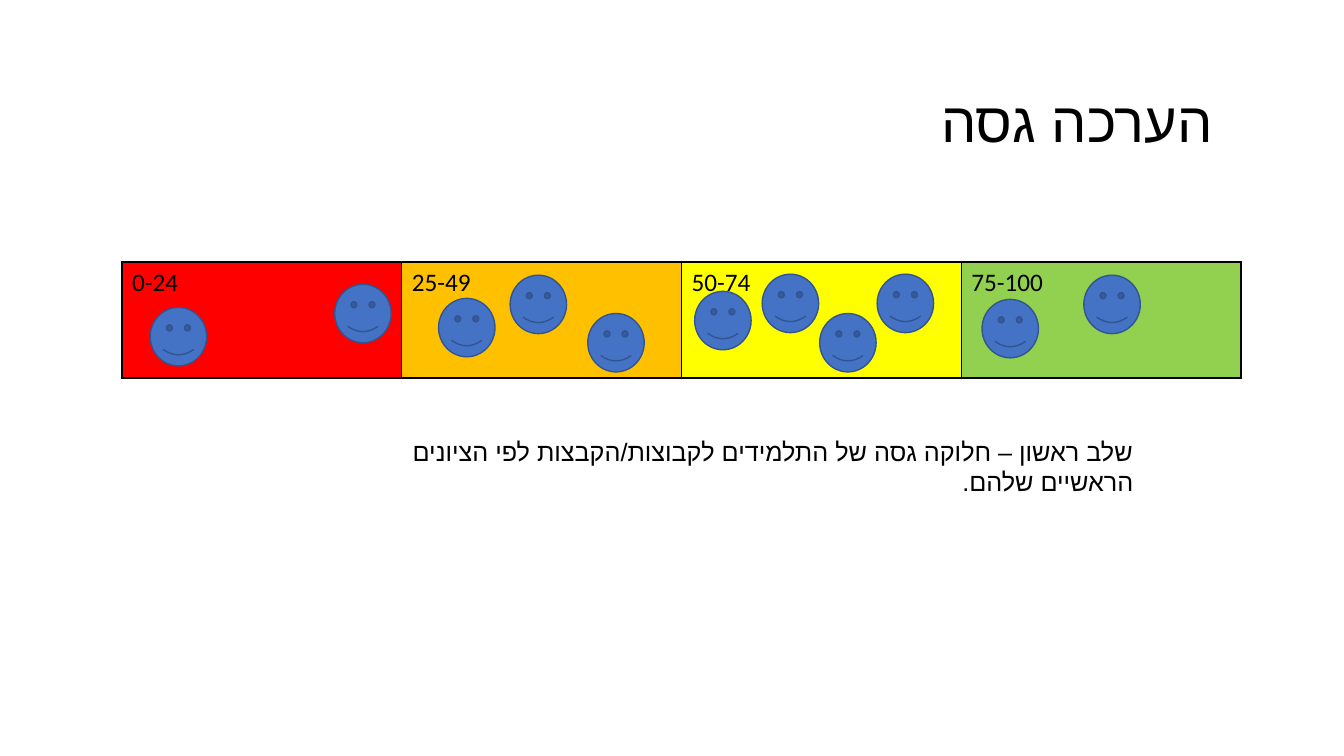
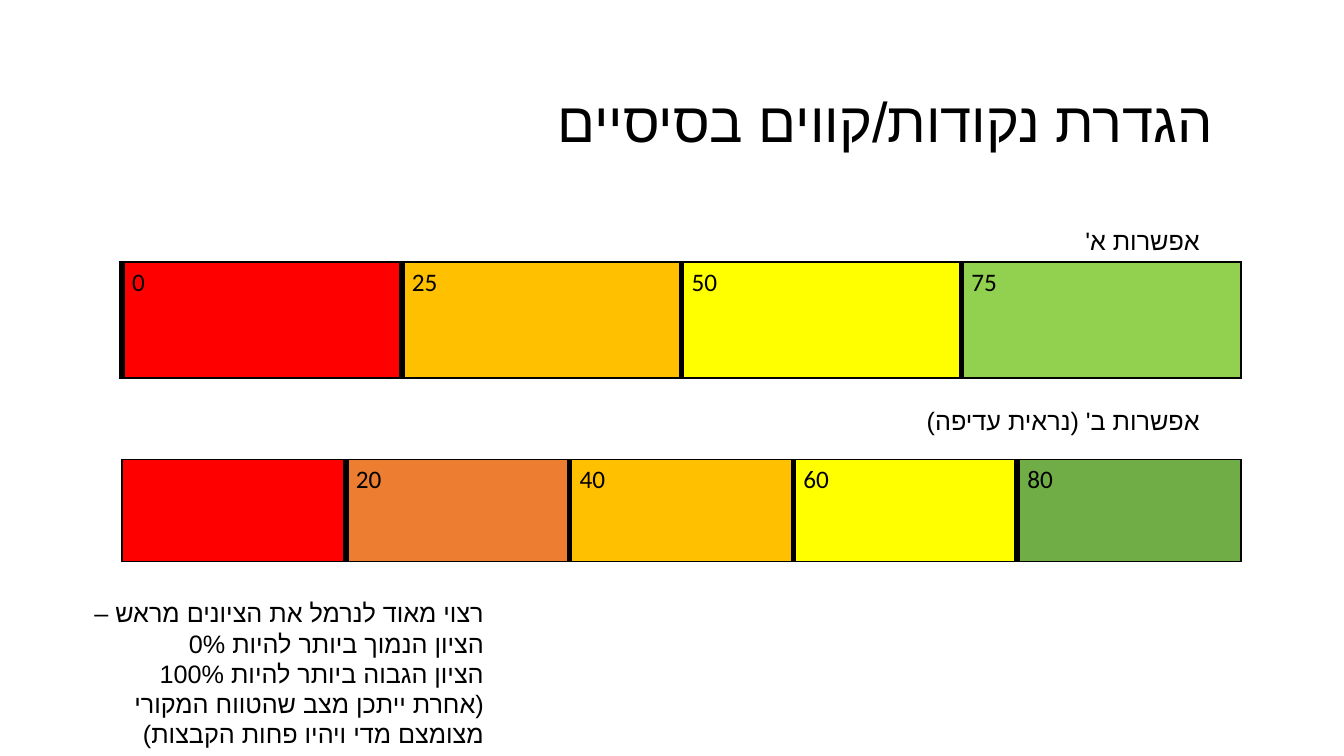
from lxml import etree
from pptx import Presentation
from pptx.dml.color import RGBColor
from pptx.enum.shapes import MSO_SHAPE
from pptx.enum.text import MSO_ANCHOR, MSO_AUTO_SIZE, PP_ALIGN
from pptx.oxml.ns import qn
from pptx.util import Inches, Pt

SMILEY = MSO_SHAPE.SMILEY_FACE
RIGHT = PP_ALIGN.RIGHT
TOP, MIDDLE = MSO_ANCHOR.TOP, MSO_ANCHOR.MIDDLE
NO_AUTOFIT = MSO_AUTO_SIZE.NONE
TITLE_ONLY = 5

FONT, HEBREW_FONT = "Calibri", "Arial"
BLACK = "000000"
RED, DARK_ORANGE, ORANGE = "FF0000", "ED7D31", "FFC000"
YELLOW, GREEN, DARK_GREEN = "FFFF00", "92D050", "70AD47"
FACE_BLUE, FACE_LINE = "4472C4", "325491"
FOUR_BANDS = [RED, ORANGE, YELLOW, GREEN]
FIVE_BANDS = [RED, DARK_ORANGE, ORANGE, YELLOW, DARK_GREEN]

SCALE_LEFT, SCALE_WIDTH = 1.21, 11.1
FIRST_SCALE = (2.6, 1.15)
SECOND_SCALE = (4.56, 1.01)
THIN, THICK = 1, 4.5
FACE_SIZE = (0.56, 0.58)
FACES = [
    (1.49, 3.05), (3.32, 2.82),
    (4.35, 2.96), (5.06, 2.73), (5.83, 3.11),
    (6.89, 2.89), (7.56, 2.72), (8.13, 3.11), (8.7, 2.72),
    (9.74, 2.97), (10.75, 2.73),
]


def color(hex_value):
    return RGBColor.from_string(hex_value)


def format_span(span, size):
    values = {"name": FONT, "size": Pt(size), "bold": False}
    for name, value in values.items():
        setattr(span.font, name, value)
    span.font.color.rgb = color(BLACK)


def write_hebrew(frame, lines, size, anchor=TOP):
    """Fill a text frame with right-to-left paragraphs."""
    values = {"word_wrap": True, "auto_size": NO_AUTOFIT, "vertical_anchor": anchor}
    for name, value in values.items():
        setattr(frame, name, value)
    for index, line in enumerate(lines):
        para = frame.add_paragraph() if index else frame.paragraphs[0]
        para.alignment = RIGHT
        para._p.get_or_add_pPr().set("rtl", "1")
        span = para.add_run()
        span.text = line
        format_span(span, size)
        complex_font = etree.SubElement(span._r.get_or_add_rPr(), qn("a:cs"))
        complex_font.set("typeface", HEBREW_FONT)


def add_page(deck, title):
    page = deck.slides.add_slide(deck.slide_layouts[TITLE_ONLY])
    box = page.shapes.title
    place = {"left": 3.23, "top": 0.81, "width": 8.9, "height": 0.77}
    for name, value in place.items():
        setattr(box, name, Inches(value))
    write_hebrew(box.text_frame, [title], 40, MIDDLE)
    return page


def add_note(page, place, *lines):
    box = page.shapes.add_textbox(*map(Inches, place))
    write_hebrew(box.text_frame, lines, 18)


def set_borders(cell, left, right):
    """Draw black cell borders; left and right widths are in points."""
    properties = cell._tc.get_or_add_tcPr()
    widths = {"lnL": left, "lnR": right, "lnT": THIN, "lnB": THIN}
    for tag, width in widths.items():
        line = etree.SubElement(properties, qn(f"a:{tag}"), w=str(Pt(width)))
        fill = etree.SubElement(line, qn("a:solidFill"))
        etree.SubElement(fill, qn("a:srgbClr"), val=BLACK)


def add_scale(page, rows, labels, bands, divider=THIN, start=THIN):
    """Add a one-row table of coloured score bands."""
    top, height = rows
    place = (SCALE_LEFT, top, SCALE_WIDTH, height)
    table = page.shapes.add_table(1, len(bands), *map(Inches, place)).table
    table.first_row = table.horz_banding = False
    last = len(bands) - 1
    for index, (label, band) in enumerate(zip(labels, bands)):
        table.columns[index].width = Inches(SCALE_WIDTH / len(bands))
        cell = table.cell(0, index)
        set_borders(cell, divider if index else start,
                    divider if index < last else THIN)
        cell.fill.solid()
        cell.fill.fore_color.rgb = color(band)
        if label:
            span = cell.text_frame.paragraphs[0].add_run()
            span.text = label
            format_span(span, 18)


def add_face(page, left, top):
    face = page.shapes.add_shape(SMILEY, *map(Inches, (left, top, *FACE_SIZE)))
    face.shadow.inherit = False
    face.fill.solid()
    face.fill.fore_color.rgb = color(FACE_BLUE)
    face.line.color.rgb = color(FACE_LINE)
    face.line.width = Pt(1)


def build_rough_grading(deck):
    page = add_page(deck, "הערכה גסה")
    add_scale(page, FIRST_SCALE, ["0-24", "25-49", "50-74", "75-100"], FOUR_BANDS)
    add_note(page, (3.94, 4.28, 7.4, 0.71),
             "שלב ראשון – חלוקה גסה של התלמידים לקבוצות/הקבצות לפי הציונים הראשיים שלהם.")
    for left, top in FACES:
        add_face(page, left, top)


def build_base_lines(deck):
    page = add_page(deck, "הגדרת נקודות/קווים בסיסיים")
    add_note(page, (8.84, 2.19, 3.16, 0.4), "אפשרות א'")
    add_scale(page, FIRST_SCALE, ["0", "25", "50", "75"], FOUR_BANDS, THICK, THICK)
    add_note(page, (8.84, 3.97, 3.16, 0.4), "אפשרות ב' (נראית עדיפה)")
    add_scale(page, SECOND_SCALE, ["", "20", "40", "60", "80"], FIVE_BANDS, THICK)
    add_note(page, (0.59, 5.88, 4.31, 1.62),
             "רצוי מאוד לנרמל את הציונים מראש –",
             "הציון הנמוך ביותר להיות 0%",
             "הציון הגבוה ביותר להיות 100%",
             "(אחרת ייתכן מצב שהטווח המקורי מצומצם מדי ויהיו פחות הקבצות)")


def main():
    deck = Presentation()
    deck.slide_width, deck.slide_height = Inches(13.33), Inches(7.5)
    build_rough_grading(deck)
    build_base_lines(deck)
    deck.save("out.pptx")


if __name__ == "__main__":
    main()
